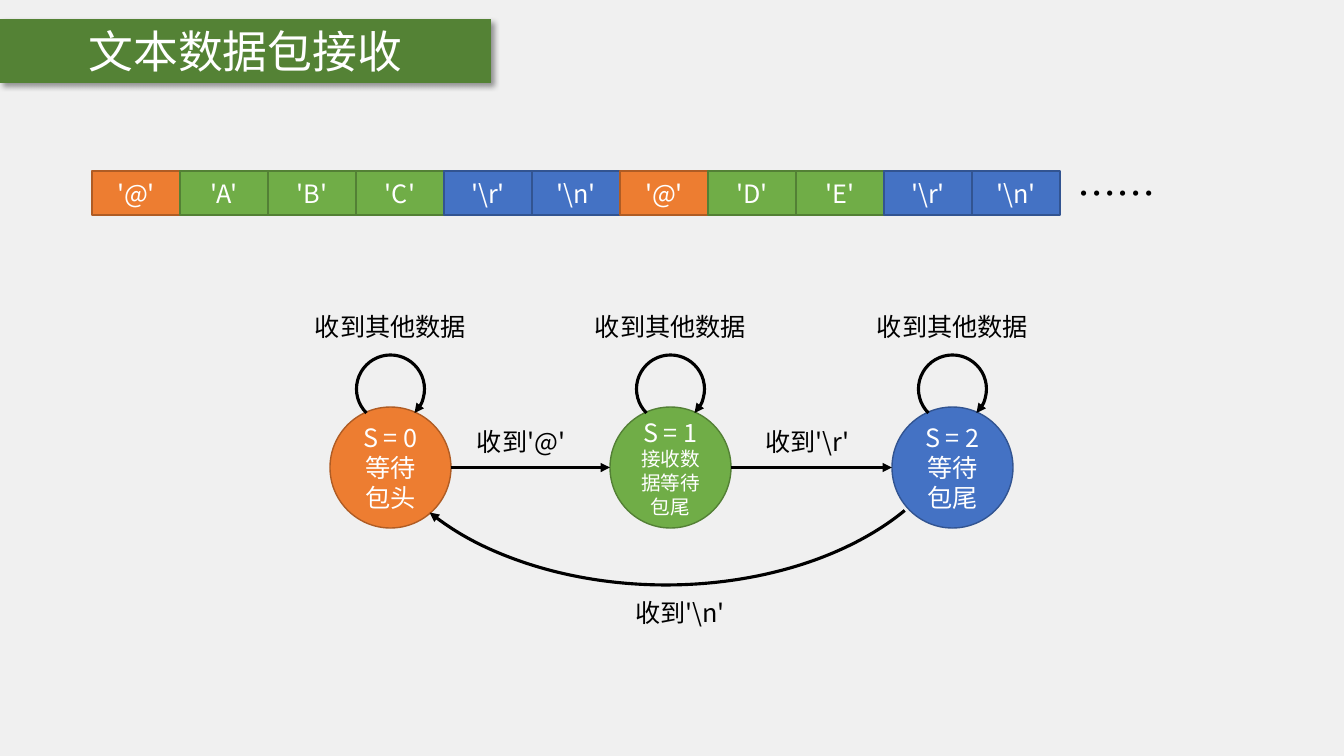
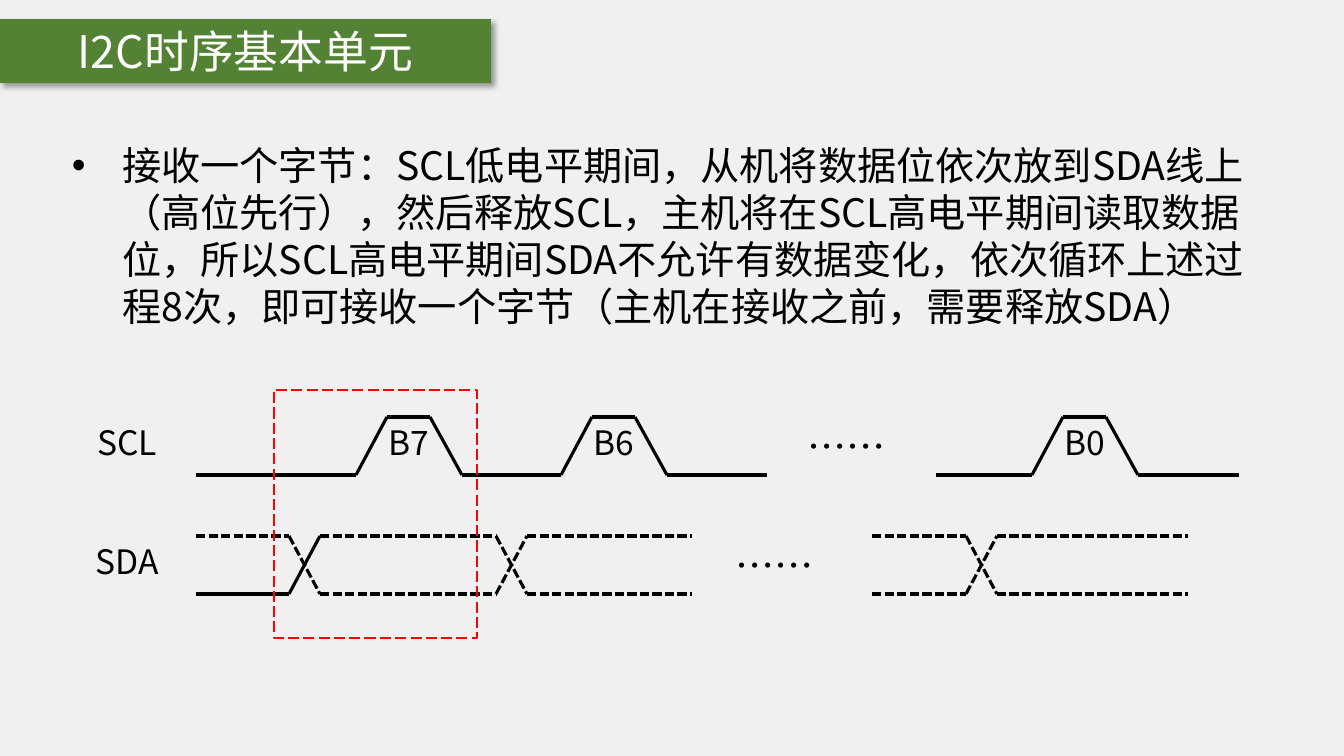
from itertools import pairwise

from lxml import etree
from pptx import Presentation
from pptx.dml.color import RGBColor
from pptx.enum.dml import MSO_LINE
from pptx.enum.lang import MSO_LANGUAGE_ID
from pptx.enum.shapes import MSO_CONNECTOR, MSO_SHAPE
from pptx.enum.text import MSO_ANCHOR, MSO_AUTO_SIZE, PP_ALIGN
from pptx.oxml.ns import qn
from pptx.util import Emu, Pt

RECT, OVAL, ARC = MSO_SHAPE.RECTANGLE, MSO_SHAPE.OVAL, MSO_SHAPE.ARC
STRAIGHT = MSO_CONNECTOR.STRAIGHT
SHORT_DASH, LONG_DASH = MSO_LINE.SQUARE_DOT, MSO_LINE.LONG_DASH
MIDDLE, CENTER, LEFT = MSO_ANCHOR.MIDDLE, PP_ALIGN.CENTER, PP_ALIGN.LEFT
GROW = MSO_AUTO_SIZE.SHAPE_TO_FIT_TEXT
CHINESE = MSO_LANGUAGE_ID.SIMPLIFIED_CHINESE

FONT = "Noto Sans CJK SC"
BLACK = RGBColor(0x00, 0x00, 0x00)
WHITE = RGBColor(0xFF, 0xFF, 0xFF)
RED = RGBColor(0xFF, 0x00, 0x00)
PAPER = RGBColor(0xF0, 0xF0, 0xF0)
TITLE_GREEN = RGBColor(0x54, 0x82, 0x35)
# Each pair is a fill and its outline
ORANGE = (RGBColor(0xED, 0x7D, 0x31), RGBColor(0xAF, 0x5C, 0x24))
GREEN = (RGBColor(0x70, 0xAD, 0x47), RGBColor(0x53, 0x80, 0x35))
BLUE = (RGBColor(0x44, 0x72, 0xC4), RGBColor(0x32, 0x54, 0x91))

SLIDE_W, SLIDE_H = 1344, 756
PX_PER_INCH = 100.8
STROKE = 2.25


def px(n):
    return Emu(round(n * 914400 / PX_PER_INCH))


# ---- Text, shapes and lines ----

def write(sp, lines, sizes, color, align=CENTER):
    tf = sp.text_frame
    tf.word_wrap = True
    tf.text = "\n".join(lines)
    for p, size in zip(tf.paragraphs, sizes):
        p.alignment = align
        for r in p.runs:
            r.font.size = Pt(size)
            r.font.name = FONT
            r.font.color.rgb = color
            r.font.language_id = CHINESE
            etree.SubElement(r.font._element, qn("a:ea"), typeface=FONT)


def add_text(slide, box, text, size, align=CENTER):
    sp = slide.shapes.add_textbox(*map(px, box))
    write(sp, [text], [size], BLACK, align)
    sp.text_frame.auto_size = GROW
    return sp


def style_line(line, color, width, dash=None, arrow=False):
    line.color.rgb = color
    line.width = Pt(width)
    if dash:
        line.dash_style = dash
    if arrow:
        etree.SubElement(line._get_or_add_ln(), qn("a:tailEnd"), type="triangle")


def add_shape(slide, kind, box, fill=None):
    sp = slide.shapes.add_shape(kind, *map(px, box))
    sp.shadow.inherit = False
    if fill is None:
        sp.fill.background()
    else:
        sp.fill.solid()
        sp.fill.fore_color.rgb = fill
    return sp


def add_block(slide, kind, box, colors, lines, sizes):
    fill, outline = colors
    sp = add_shape(slide, kind, box, fill)
    style_line(sp.line, outline, 1)
    sp.text_frame.vertical_anchor = MIDDLE
    write(sp, lines, sizes, WHITE)


def add_arc(slide, box, start, end, rotation=0):
    sp = add_shape(slide, ARC, box)
    sp.adjustments[0], sp.adjustments[1] = start, end
    sp.rotation = rotation
    style_line(sp.line, BLACK, STROKE, arrow=True)


def add_line(slide, start, end, dash=None, arrow=False):
    cn = slide.shapes.add_connector(STRAIGHT, *map(px, (*start, *end)))
    etree.SubElement(cn._element.spPr, qn("a:effectLst"))
    style_line(cn.line, BLACK, STROKE, dash, arrow)


# ---- Shared title band ----

def add_title(slide, text):
    sp = add_shape(slide, RECT, (0, 19, 491, 64), TITLE_GREEN)
    sp.line.fill.background()
    sp.text_frame.vertical_anchor = MIDDLE
    write(sp, [text], [32], WHITE)
    effects = sp._element.spPr.find(qn("a:effectLst"))
    shadow = etree.SubElement(effects, qn("a:outerShdw"), blurRad="50800",
                              dist="38100", dir="2700000", algn="tl", rotWithShape="0")
    black = etree.SubElement(shadow, qn("a:srgbClr"), val="000000")
    etree.SubElement(black, qn("a:alpha"), val="40000")


# ---- Slide 1: packet bytes and state machine ----

def add_packet_row(slide, x, y, w, h):
    cells = [("'@'", ORANGE), ("'A'", GREEN), ("'B'", GREEN), ("'C'", GREEN),
             ("'\\r'", BLUE), ("'\\n'", BLUE), ("'@'", ORANGE), ("'D'", GREEN),
             ("'E'", GREEN), ("'\\r'", BLUE), ("'\\n'", BLUE)]
    for i, (text, colors) in enumerate(cells):
        add_block(slide, RECT, (x + i * w, y, w, h), colors, [text], [18])
    add_text(slide, (x + len(cells) * w, y - 7, 113, 57), "……", 28)


def add_state_machine(slide, x, y):
    d, loop, label_w, label_h = 121, 68, 174, 40
    states = [(0, ORANGE, "等待包头", 18), (280, GREEN, "接收数据等待包尾", 14),
              (562, BLUE, "等待包尾", 18)]
    # States with their self loops
    for i, (dx, colors, text, size) in enumerate(states):
        left = x + dx
        mid = left + d / 2
        add_block(slide, OVAL, (left, y, d, d), colors, [f"S = {i}", text], [18, size])
        add_arc(slide, (mid - loop / 2, y - 52, loop, loop), 54, 0, 45)
        add_text(slide, (mid - label_w / 2, y - 101, label_w, label_h), "收到其他数据", 18)
    # Forward transitions
    forward = [("收到'@'", 104), ("收到'\\r'", 390)]
    for (a, b), (text, label_dx) in zip(pairwise(states), forward):
        add_line(slide, (x + a[0] + d, y + d / 2), (x + b[0], y + d / 2), arrow=True)
        add_text(slide, (x + label_dx, y + 14, label_w, label_h), text, 18)
    # Return transition
    add_arc(slide, (x + 34, y - 206, 604, 384), 15.72, 91.89)
    add_text(slide, (x + 263, y + 185, label_w, label_h), "收到'\\n'", 18)


def build_packet_slide(slide):
    add_title(slide, "文本数据包接收")
    add_packet_row(slide, 92, 171, 88, 44)
    add_state_machine(slide, 330, 407)


# ---- Slide 2: bus timing ----

def add_bullet(slide, box, text):
    sp = add_text(slide, box, text, 28, LEFT)
    pPr = sp.text_frame.paragraphs[0]._p.get_or_add_pPr()
    pPr.set("marL", "457200")
    pPr.set("indent", "-457200")
    etree.SubElement(pPr, qn("a:buFont"), typeface="Arial")
    etree.SubElement(pPr, qn("a:buChar"), char="•")


def add_clock(slide, y, h, start, rise, end, text):
    low = y + h
    points = [(start, low), (rise, low), (rise + 31, y), (rise + 74, y),
              (rise + 106, low), (end, low)]
    for a, b in pairwise(points):
        add_line(slide, a, b)
    add_text(slide, (rise + 6, y, 94, 50), text, 24)


def add_data(slide, y, h, start, crossings, end, solid=0):
    """Two levels that swap at each crossing; the low one starts with solid parts."""
    for level, solid_parts in ((0, 0), (1, solid)):
        points = [(start, y + level * h)]
        for x in crossings:
            points.append((x, y + level * h))
            level = 1 - level
            points.append((x + 31, y + level * h))
        points.append((end, y + level * h))
        for i, (a, b) in enumerate(pairwise(points)):
            add_line(slide, a, b, None if i < solid_parts else SHORT_DASH)


def add_timing(slide, x, y):
    h, data_y = 58, y + 119
    for name, top, dots_dx in (("SCL", y, 720), ("SDA", data_y, 648)):
        add_text(slide, (x, top, 130, 50), name, 24)
        add_text(slide, (x + dots_dx, top, 130, 57), "……", 28)
    clocks = [(134, 294, 400, "B7"), (400, 499, 705, "B6"), (874, 970, 1177, "B0")]
    for start, rise, end, text in clocks:
        add_clock(slide, y, h, x + start, x + rise, x + end, text)
    add_data(slide, data_y, h, x + 134, [x + 227, x + 434], x + 630, solid=2)
    add_data(slide, data_y, h, x + 810, [x + 904], x + 1126)
    # Frame around one bit
    frame = add_shape(slide, RECT, (x + 212, y - 27, 203, 248))
    style_line(frame.line, RED, 1, LONG_DASH)


def build_timing_slide(slide):
    add_bullet(slide, (62, 136, 1218, 201),
               "接收一个字节：SCL低电平期间，从机将数据位依次放到SDA线上（高位先行），"
               "然后释放SCL，主机将在SCL高电平期间读取数据位，所以SCL高电平期间SDA"
               "不允许有数据变化，依次循环上述过程8次，即可接收一个字节"
               "（主机在接收之前，需要释放SDA）")
    add_title(slide, "I2C时序基本单元")
    add_timing(slide, 62, 417)


def main():
    prs = Presentation()
    prs.slide_width, prs.slide_height = px(SLIDE_W), px(SLIDE_H)
    background = prs.slide_master.background.fill
    background.solid()
    background.fore_color.rgb = PAPER
    for build in (build_packet_slide, build_timing_slide):
        build(prs.slides.add_slide(prs.slide_layouts[6]))
    prs.save("out.pptx")


if __name__ == "__main__":
    main()
